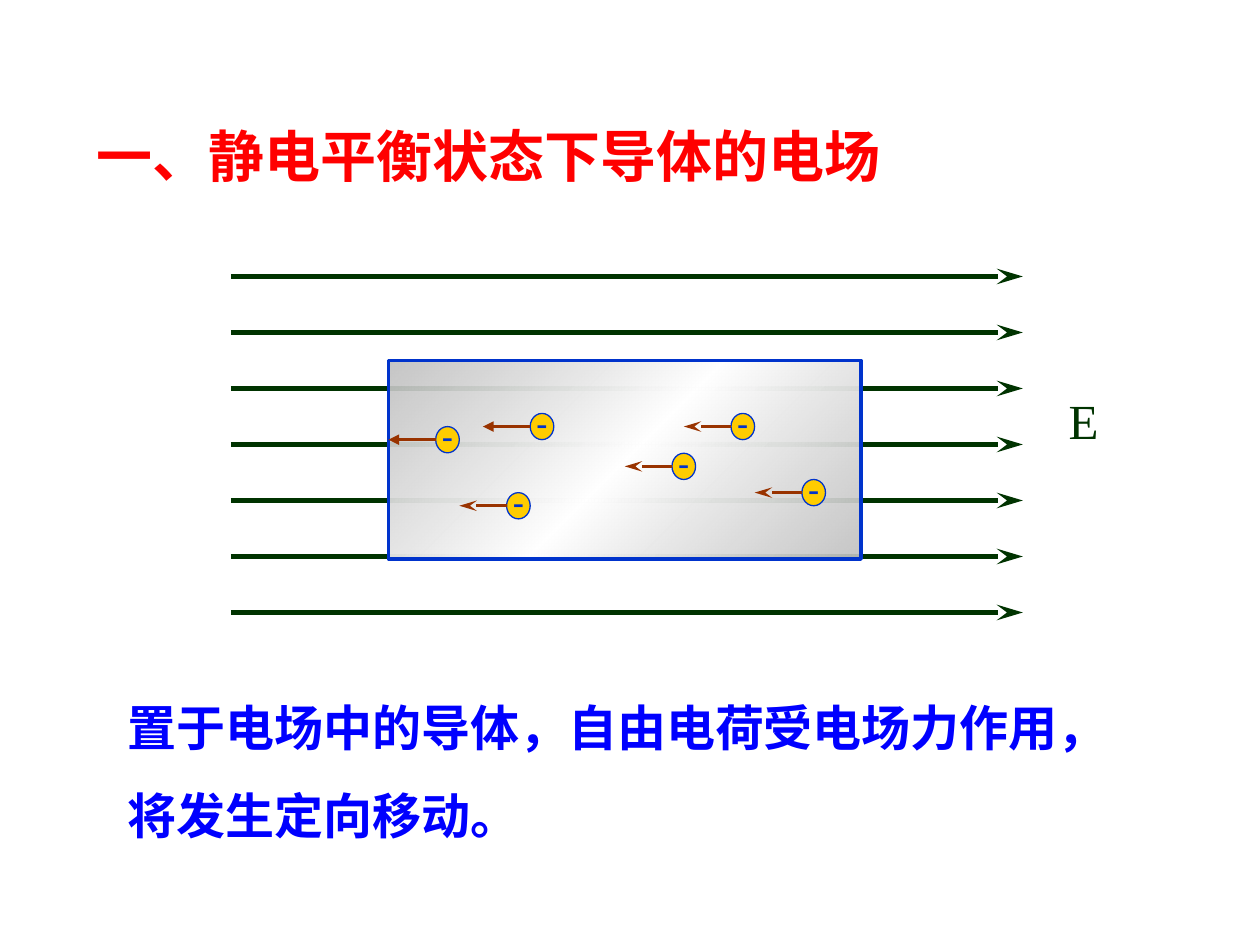
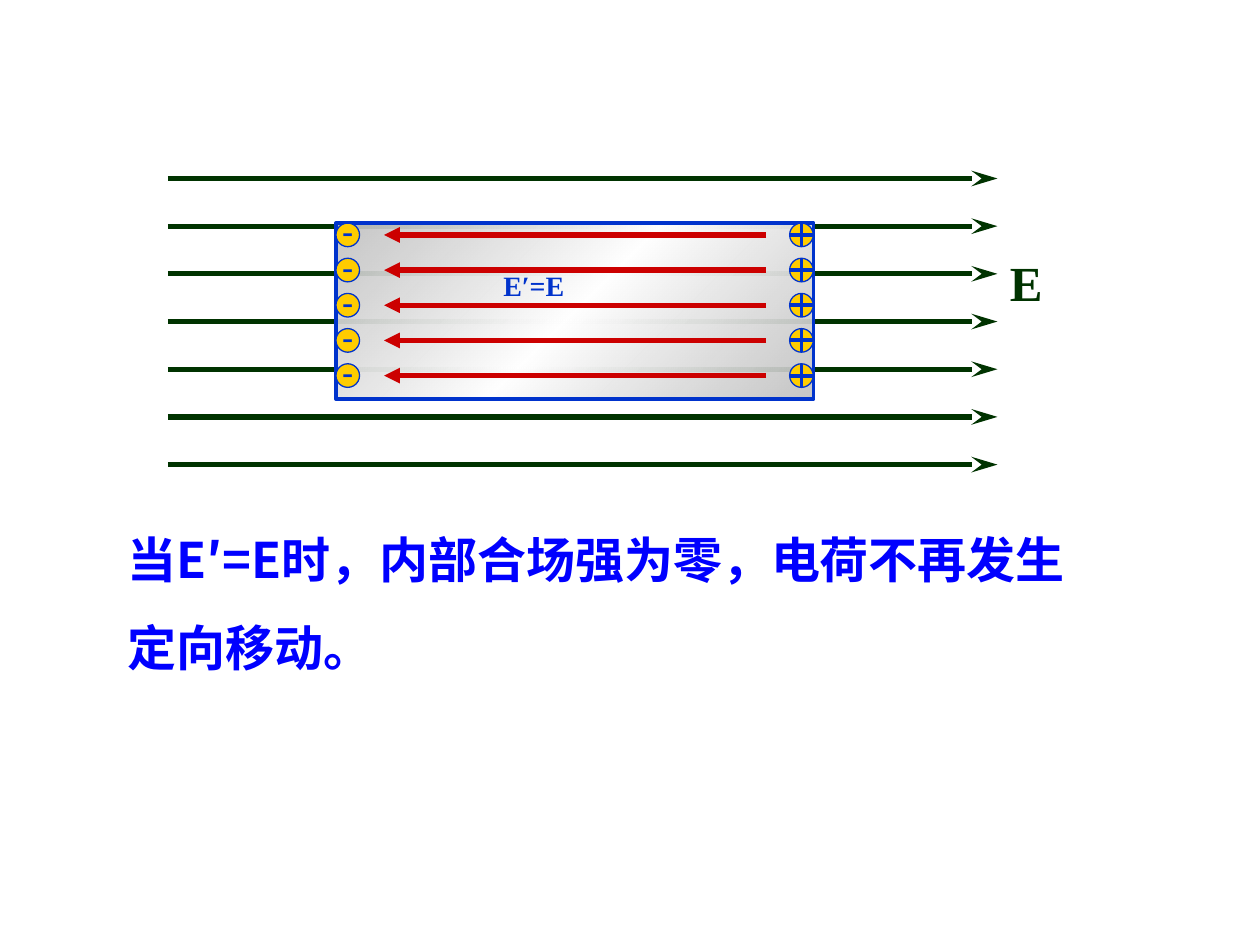
import pptx
import pptx.util
from lxml import etree
from pptx.dml.color import RGBColor
from pptx.enum.shapes import MSO_CONNECTOR, MSO_SHAPE
from pptx.enum.text import MSO_ANCHOR, MSO_AUTO_SIZE, PP_ALIGN
from pptx.oxml.ns import qn

Pt = pptx.util.Pt

# Shared colours and fonts
RED, BLUE, GREEN = "FF0000", "0000FF", "003300"
OUTLINE, CHARGE_FILL = "0033CC", "FFCC00"
FORCE, INNER_FIELD = "993300", "CC0000"
SANS, SERIF, CJK = "Arial", "Times New Roman", "Noto Sans CJK SC"


def color(hex_value):
    return RGBColor.from_string(hex_value)


def format_text(tf, text, size, hex_value, font=SANS, bold=False,
                align=PP_ALIGN.LEFT, spacing=1.0):
    tf.text = text
    p = tf.paragraphs[0]
    p.alignment, p.line_spacing = align, spacing
    p.space_before = Pt(0)
    r = p.runs[0]
    r.font.size, r.font.bold, r.font.name = Pt(size), bold, font
    r.font.color.rgb = color(hex_value)
    latin = r._r.rPr.find(qn("a:latin"))
    ea = etree.Element(qn("a:ea"), typeface=CJK)
    latin.addnext(ea)


def add_title(slide, text, left, top, width, height):
    sp = slide.shapes.title
    sp.left, sp.top, sp.width, sp.height = map(Pt, (left, top, width, height))
    tf = sp.text_frame
    tf.auto_size = MSO_AUTO_SIZE.NONE
    tf.vertical_anchor = MSO_ANCHOR.TOP
    format_text(tf, text, 32, RED, bold=True)


def add_text(shapes, text, left, top, width, height, size, hex_value,
             wrap=True, **style):
    sp = shapes.add_textbox(Pt(left), Pt(top), Pt(width), Pt(height))
    sp.text_frame.word_wrap = wrap
    format_text(sp.text_frame, text, size, hex_value, **style)


def add_line(shapes, x1, y1, x2, y2, hex_value, weight, head=None):
    line = shapes.add_connector(MSO_CONNECTOR.STRAIGHT,
                                Pt(x1), Pt(y1), Pt(x2), Pt(y2))
    line.line.color.rgb = color(hex_value)
    line.line.width = Pt(weight)
    if head:
        length = "lg" if head == "stealth" else "med"
        etree.SubElement(line.line._get_or_add_ln(), qn("a:tailEnd"),
                         type=head, w="med", len=length)
    etree.SubElement(line._element.spPr, qn("a:effectLst"))


def add_outlined(shapes, kind, left, top, width, height, weight):
    sp = shapes.add_shape(kind, Pt(left), Pt(top), Pt(width), Pt(height))
    sp.shadow.inherit = False
    sp.line.color.rgb = color(OUTLINE)
    sp.line.width = Pt(weight)
    return sp


def add_external_field(slide, x1, x2, top, gap):
    field = slide.shapes.add_group_shape().shapes
    for i in range(7):
        y = top + i * gap
        add_line(field, x1, y, x2, y, GREEN, 3, "stealth")


def add_conductor(shapes, left, top, width, height):
    sp = add_outlined(shapes, MSO_SHAPE.RECTANGLE, left, top, width, height, 2)
    sp.fill.gradient()
    sp.fill.gradient_angle = 315
    stops = sp._element.spPr.find(qn("a:gradFill")).find(qn("a:gsLst"))
    for stop in list(stops):
        stops.remove(stop)
    for pos, hex_value, alpha in ((0, "C0C0C0", 90), (50, "FFFFFF", 100),
                                  (100, "C0C0C0", 90)):
        stop = etree.SubElement(stops, qn("a:gs"), pos=str(pos * 1000))
        clr = etree.SubElement(stop, qn("a:srgbClr"), val=hex_value)
        etree.SubElement(clr, qn("a:alpha"), val=str(alpha * 1000))


def add_charge(shapes, left, top, width, height):
    sp = add_outlined(shapes, MSO_SHAPE.OVAL, left, top, width, height, 0.75)
    sp.fill.solid()
    sp.fill.fore_color.rgb = color(CHARGE_FILL)
    return sp


def add_negative(shapes, left, top, width, height):
    tf = add_charge(shapes, left, top, width, height).text_frame
    tf.word_wrap = False
    tf.vertical_anchor = MSO_ANCHOR.MIDDLE
    format_text(tf, "-", 20, OUTLINE, align=PP_ALIGN.CENTER, spacing=0.8)


def add_positive(shapes, left, top, size):
    add_charge(shapes, left, top, size, size)
    cx, cy = left + size / 2, top + size / 2
    add_line(shapes, cx, top, cx, top + size, OUTLINE, 2.25)
    add_line(shapes, left, cy, left + size, cy, OUTLINE, 2.25)


def build_drift_slide(prs):
    slide = prs.slides.add_slide(prs.slide_layouts[5])
    add_title(slide, "一、静电平衡状态下导体的电场", 48, 66, 552, 46)
    add_external_field(slide, 132, 584.5, 158, 32)

    # Conductor with free charges pushed to the left
    group = slide.shapes.add_group_shape().shapes
    add_conductor(group, 222, 206, 270, 113.5)
    width, height, reach = 13.5, 15, 27
    charges = ((249, 243.75, "triangle"), (303, 236.25, "triangle"),
               (384, 259, "stealth"), (417.75, 236.25, "stealth"),
               (458.25, 274, "stealth"), (289.5, 281.5, "stealth"))
    for left, top, head in charges:
        add_negative(group, left, top, width, height)
        y = top + height / 2
        add_line(group, left, y, left - reach, y, FORCE, 2, head)

    add_text(slide.shapes, "置于电场中的导体，自由电荷受电场力作用，将发生定向移动。",
             66, 378, 588, 108, 28, BLUE, bold=True, spacing=1.5)
    add_text(slide.shapes, "E", 603.5, 219.5, 31.5, 41, 28, GREEN,
             wrap=False, font=SERIF)


def build_balance_slide(prs):
    slide = prs.slides.add_slide(prs.slide_layouts[6])
    add_external_field(slide, 96, 570, 102, 27.25)
    add_text(slide.shapes, "E", 570, 141, 33, 41, 28, GREEN,
             wrap=False, font=SERIF, bold=True)
    add_text(slide.shapes, "当E′=E时，内部合场强为零，电荷不再发生定向移动。",
             66, 282, 564, 108, 28, BLUE, font=CJK, bold=True, spacing=1.5)

    # Conductor with charges gathered on both faces and the inner field
    group = slide.shapes.add_group_shape().shapes
    add_conductor(group, 192, 127.5, 273, 100.5)
    size = 13.5
    for i in range(5):
        top = 127.5 + i * 20.1
        y = top + size / 2
        add_negative(group, 192, top, size, size)
        add_positive(group, 451.25, top, size)
        add_line(group, 437.75, y, 219.5, y, INNER_FIELD, 3, "triangle")
    add_text(group, "E′=E", 280.5, 150, 123, 26.5, 16, OUTLINE,
             font=SERIF, bold=True)


def main():
    prs = pptx.Presentation()
    prs.slide_width, prs.slide_height = Pt(720), Pt(540)
    build_drift_slide(prs)
    build_balance_slide(prs)
    prs.save("out.pptx")


if __name__ == "__main__":
    main()
